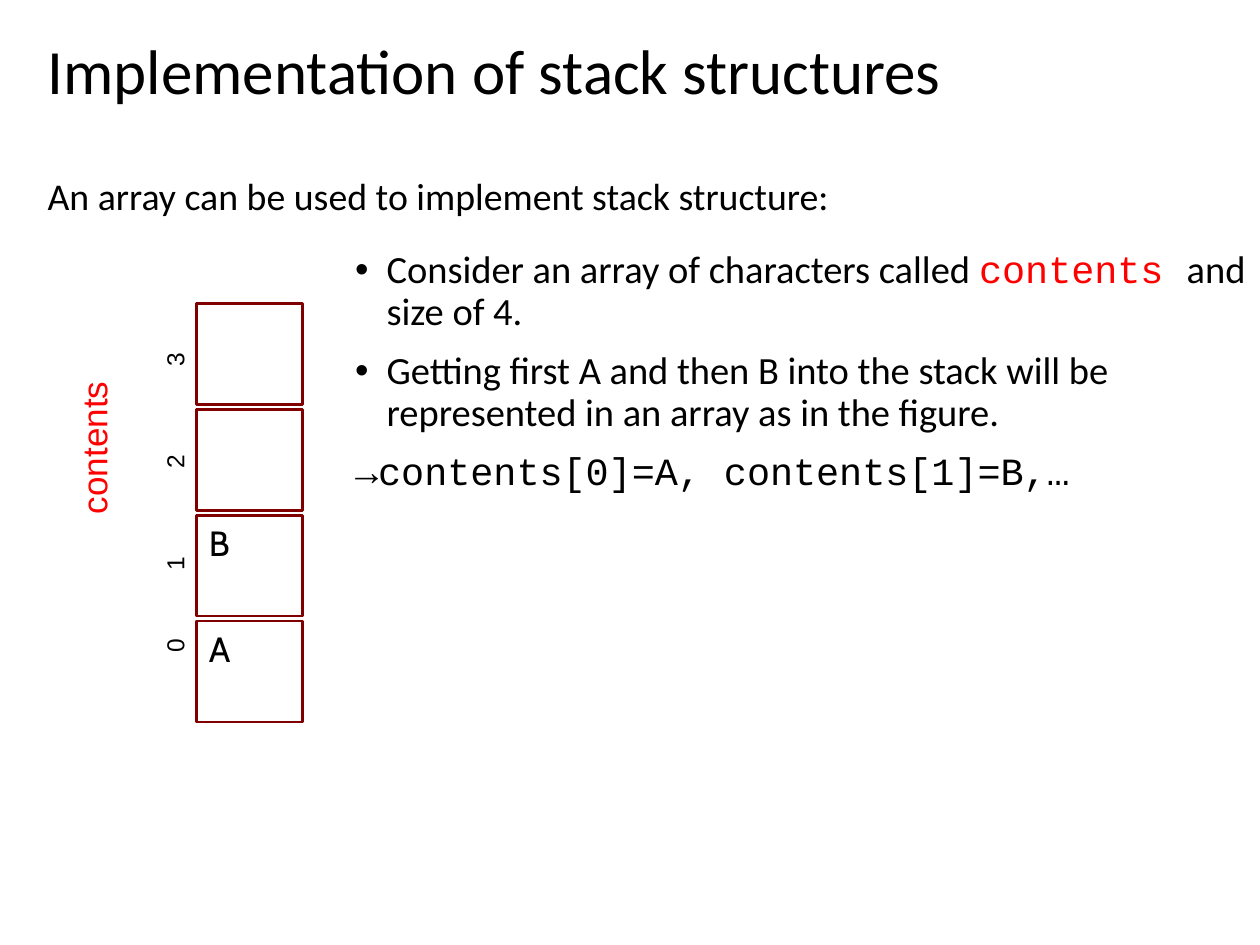
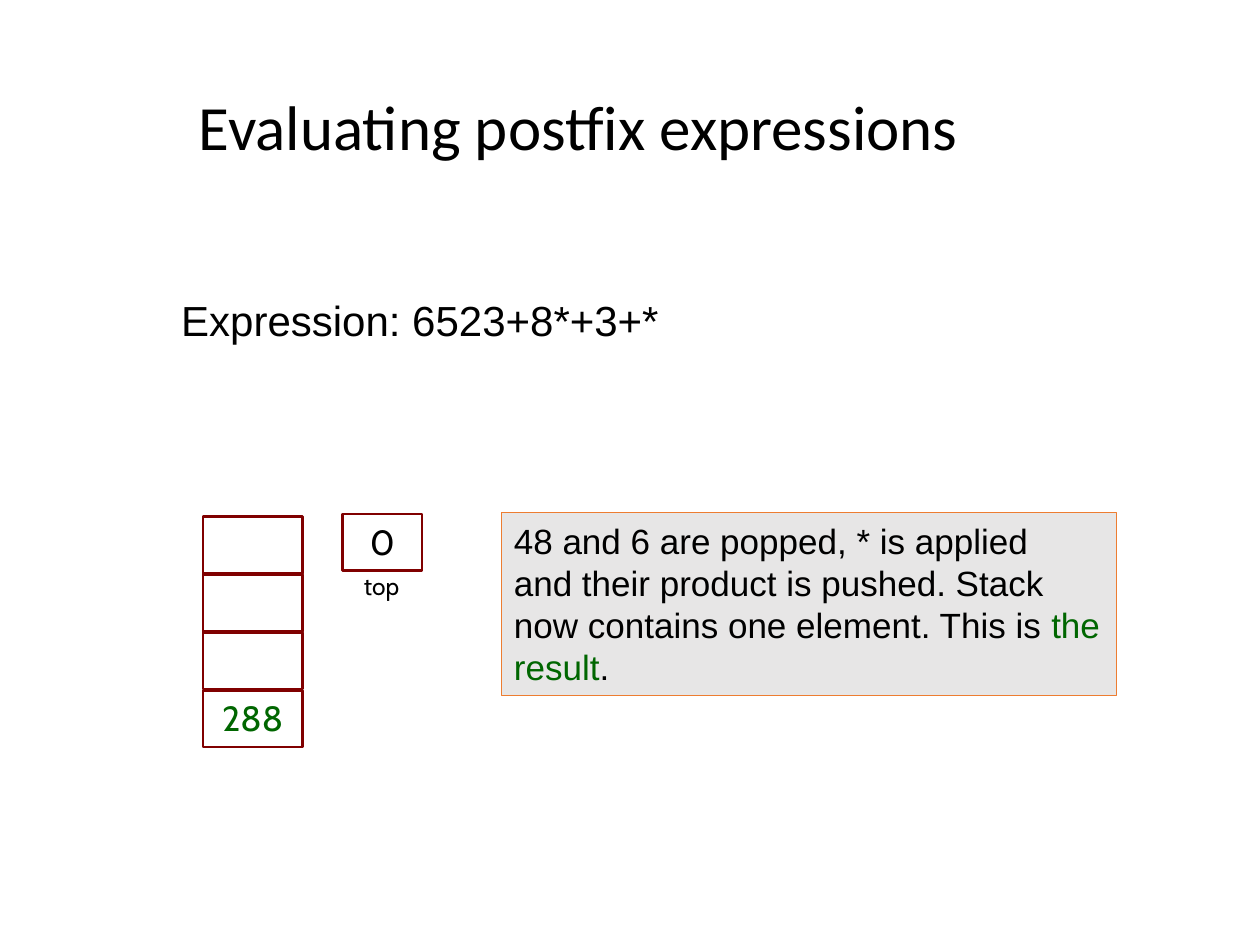
from dataclasses import dataclass
from typing import Optional

from lxml import etree
from pptx import Presentation
from pptx.dml.color import RGBColor
from pptx.enum.shapes import MSO_SHAPE as Preset
from pptx.enum.text import MSO_ANCHOR as Anchor, PP_ALIGN as Align
from pptx.oxml.ns import qn
from pptx.util import Pt

PX = 9144  # EMU per px, 100 px to the inch
COLORS = {
    "text": "000000",
    "accent": "FF0000",
    "result": "006600",
    "cell": "800000",
    "note_fill": "E7E6E6",
    "note_line": "ED7D31",
}
HEADING, LABEL, CELL, CODE = "Calibri", "Arial", "Cabin", "Courier New"
BULLET_INDENT = 25


@dataclass
class Span:
    text: str
    font: Optional[str] = None
    color: Optional[str] = None


@dataclass
class Line:
    spans: list[Span]
    size: float
    font: str
    color: str = "text"
    align: Align = Align.LEFT
    spacing: float = 1.0
    before: float = 0
    bullet: bool = False
    tabs: tuple[int, ...] = ()


@dataclass
class Box:
    left: int
    top: int
    width: int
    height: int


@dataclass
class Stack:
    """Equal cells in one column, listed from top to bottom."""
    first: Box
    step: int
    values: list[str]
    align: Align
    color: str = "text"


def rgb(name: str) -> RGBColor:
    return RGBColor.from_string(COLORS[name])


def add_paragraph_marks(paragraph, line: Line) -> None:
    """Bullet and tab stops, which need XML."""
    properties = paragraph._p.get_or_add_pPr()
    marks = []
    if line.bullet:
        properties.set("marL", str(BULLET_INDENT * PX))
        properties.set("indent", str(-BULLET_INDENT * PX))
        font = etree.Element(qn("a:buFont"), typeface=LABEL)
        marks += [font, etree.Element(qn("a:buChar"), char="•")]
    if line.tabs:
        stops = etree.Element(qn("a:tabLst"))
        for stop in line.tabs:
            etree.SubElement(stops, qn("a:tab"), pos=str(stop * PX), algn="l")
        marks.append(stops)
    # These come after the spacing and before the default font
    default_font = properties.find(qn("a:defRPr"))
    for mark in marks:
        default_font.addprevious(mark)


def write_lines(shape, lines: list[Line], anchor: Anchor = Anchor.TOP) -> None:
    frame = shape.text_frame
    frame.word_wrap = True
    frame.vertical_anchor = anchor
    for index, line in enumerate(lines):
        paragraph = frame.add_paragraph() if index else frame.paragraphs[0]
        paragraph.alignment = line.align
        paragraph.line_spacing = line.spacing
        paragraph.space_before = Pt(line.before)
        paragraph.font.size = Pt(line.size)
        paragraph.font.name = line.font
        paragraph.font.color.rgb = rgb(line.color)
        add_paragraph_marks(paragraph, line)
        for span in line.spans:
            for part, text in enumerate(span.text.split("\n")):
                if part:
                    paragraph.add_line_break()
                run = paragraph.add_run()
                run.text = text
                if span.font:
                    run.font.name = span.font
                if span.color:
                    run.font.color.rgb = rgb(span.color)


def add_text(slide, box: Box, lines: list[Line], anchor: Anchor = Anchor.TOP):
    shape = slide.shapes.add_textbox(
        box.left * PX, box.top * PX, box.width * PX, box.height * PX)
    write_lines(shape, lines, anchor)
    return shape


def add_title(slide, left: int, title: str, subtitle: str = "") -> None:
    lines = [Line([Span(title)], 36, HEADING, spacing=0.9)]
    if subtitle:
        lines.append(Line([Span(subtitle)], 21.6, HEADING, spacing=0.9, before=40))
    add_text(slide, Box(left, 23, 1000 - left, 160), lines, Anchor.MIDDLE)


def add_side_label(slide, box: Box, line: Line) -> None:
    """Text that reads from bottom to top."""
    shape = add_text(slide, box, [line])
    shape.rotation = 270
    shape.text_frame.margin_left = 21 * PX


def add_rectangle(slide, box: Box, line_color: str, line_width: float,
                  lines: list[Line], fill: Optional[str] = None) -> None:
    shape = slide.shapes.add_shape(
        Preset.RECTANGLE,
        box.left * PX, box.top * PX, box.width * PX, box.height * PX)
    shape.shadow.inherit = False
    if fill:
        shape.fill.solid()
        shape.fill.fore_color.rgb = rgb(fill)
    else:
        shape.fill.background()
    shape.line.color.rgb = rgb(line_color)
    shape.line.width = Pt(line_width)
    write_lines(shape, lines)


def add_stack(slide, stack: Stack) -> None:
    first = stack.first
    for index, value in enumerate(stack.values):
        cell = Box(first.left, first.top + index * stack.step,
                   first.width, first.height)
        lines = [Line([Span(value)], 20, CELL, stack.color, stack.align)] if value else []
        add_rectangle(slide, cell, "cell", 1.5, lines)


def build_array_slide(slide) -> None:
    add_title(slide, 28, "Implementation of stack structures",
              "An array can be used to implement stack structure:")

    # Explanation
    body = dict(size=22, font=HEADING, spacing=0.9, before=10)
    add_text(slide, Box(272, 194, 728, 279), [
        Line([Span("Consider an array of characters called "),
              Span("contents ", CODE, "accent"),
              Span("and size of 4.")], bullet=True, **body),
        Line([Span("Getting first A and then B into the stack will be "
                   "represented in an array as in the figure.")],
             bullet=True, **body),
        Line([Span("→contents[0]=A, contents[1]=B,…", CODE)], **body),
    ])

    # Array with its name and indices
    add_stack(slide, Stack(Box(156, 241, 84, 80), 84, ["", "", "B", "A"], Align.LEFT))
    add_side_label(slide, Box(-72, 339, 293, 44),
                   Line([Span("contents")], 20, LABEL, "accent", Align.CENTER))
    index_stops = tuple(65 + 81 * step for step in range(3))
    add_side_label(slide, Box(-67, 316, 412, 34),
                   Line([Span("0\t1\t2\t3")], 14, LABEL, tabs=index_stops))


def build_postfix_slide(slide) -> None:
    add_title(slide, 148, "Evaluating postfix expressions")
    add_text(slide, Box(134, 233, 866, 102),
             [Line([Span("Expression: 6523+8*+3+*")], 24, LABEL, spacing=0.9)])

    # Explanation of the step
    note = Line([Span("48 and 6 are popped, * is applied\nand their product is "
                      "pushed. Stack now contains one element. This is "),
                 Span("the result", color="result"), Span(".")], 20, LABEL)
    add_rectangle(slide, Box(398, 407, 488, 145), "note_line", 0.75, [note], "note_fill")

    # Stack and its top index
    add_stack(slide, Stack(Box(161, 410, 79, 45), 46, ["", "", "", "288"],
                           Align.CENTER, "result"))
    add_stack(slide, Stack(Box(272, 408, 63, 45), 0, ["0"], Align.CENTER))
    add_text(slide, Box(279, 448, 63, 33), [Line([Span("top")], 14, CELL)])


def main() -> None:
    presentation = Presentation()
    presentation.slide_width = 1000 * PX
    presentation.slide_height = 750 * PX
    blank = presentation.slide_layouts[6]
    for build in (build_array_slide, build_postfix_slide):
        build(presentation.slides.add_slide(blank))
    presentation.save("out.pptx")


if __name__ == "__main__":
    main()
